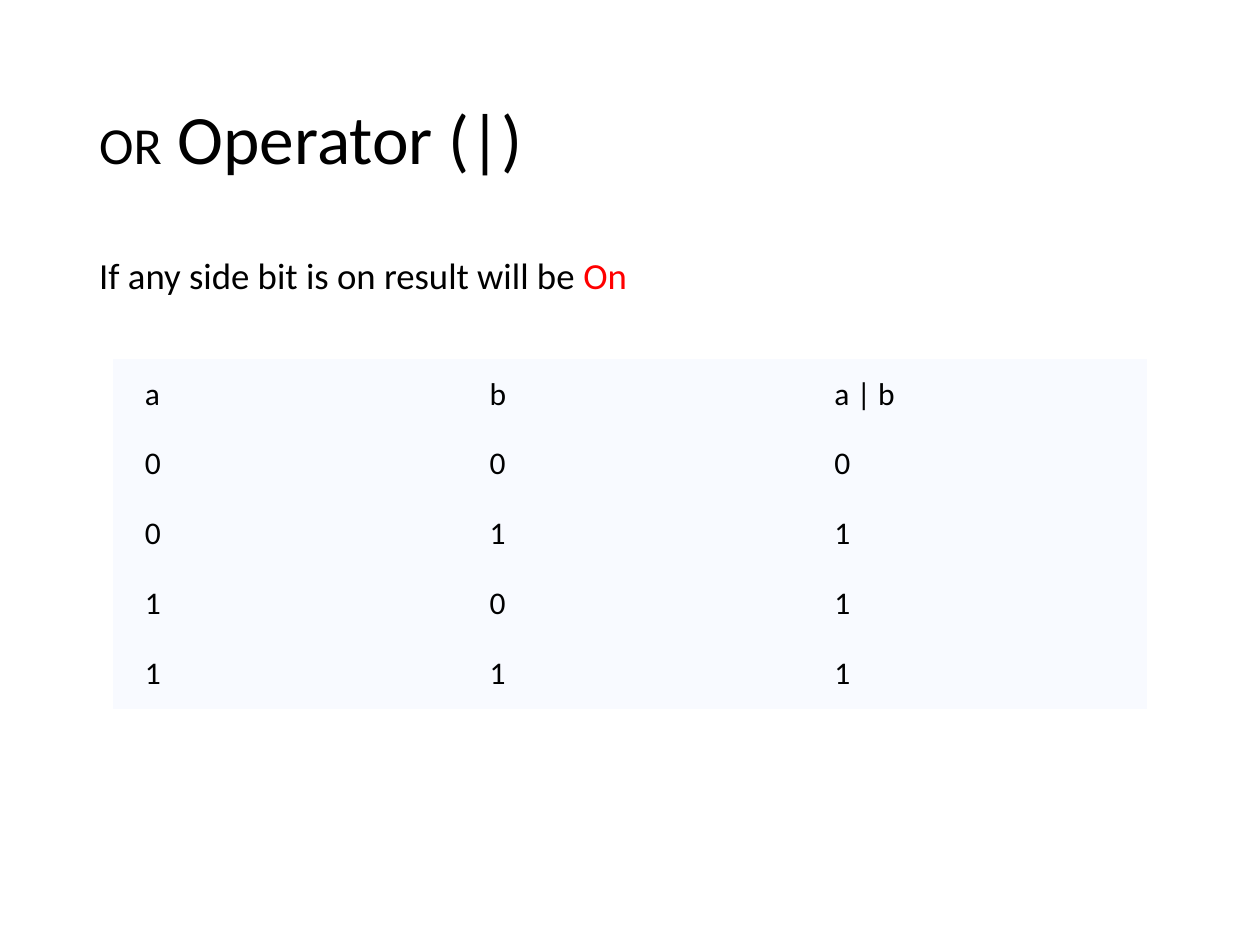
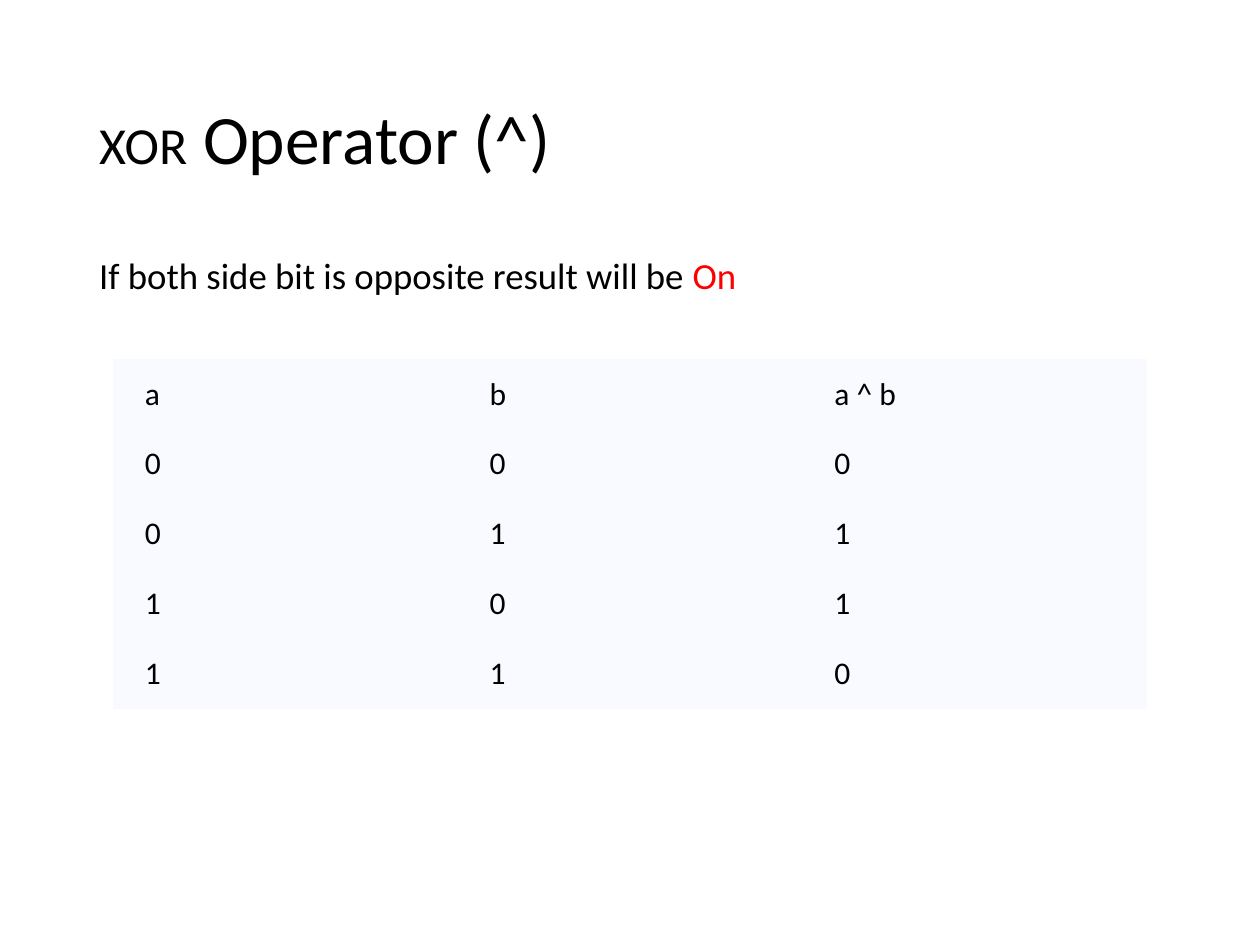
from itertools import product

from pptx import Presentation
from pptx.dml.color import RGBColor
from pptx.enum.text import MSO_ANCHOR
from pptx.util import Cm, Pt

MIDDLE, TOP = MSO_ANCHOR.MIDDLE, MSO_ANCHOR.TOP
COLORS = {"page": "FFFFFF", "ink": "000000", "accent": "FF0000", "cell": "F8FAFF"}
FONT = "Calibri"
PLAIN_GRID = "{2D5ABB26-0587-4C30-8999-92F81FD0307C}"
CELL = {
    "margin_left": Cm(0.64), "margin_right": Cm(0.64),
    "margin_top": Cm(0.32), "margin_bottom": Cm(0.32),
    "vertical_anchor": MIDDLE,
}
LEFT, WIDTH = 1.75, 21.9
GRID_LEFT, GRID_TOP, COL, ROW = 2.28, 7.24, 6.95, 1.41


def apply(target, values):
    for name, value in values.items():
        setattr(target, name, value)


def rgb(name):
    return RGBColor.from_string(COLORS[name])


class Deck:
    def __init__(self):
        self.prs = Presentation()
        apply(self.prs, {"slide_width": Cm(25.4), "slide_height": Cm(19.05)})
        self.slide = None

    def page(self):
        self.slide = self.prs.slides.add_slide(self.prs.slide_layouts[6])
        fill = self.slide.background.fill
        fill.solid()
        fill.fore_color.rgb = rgb("page")

    def add_run(self, para, text, size, color="ink"):
        run = para.add_run()
        run.text = text
        apply(run.font, {"name": FONT, "size": Pt(size)})
        run.font.color.rgb = rgb(color)

    def text(self, top, height, anchor, runs):
        """Add one line made of (text, size, color) runs."""
        box = self.slide.shapes.add_textbox(Cm(LEFT), Cm(top), Cm(WIDTH), Cm(height))
        apply(box.text_frame, {"word_wrap": True, "vertical_anchor": anchor})
        para = box.text_frame.paragraphs[0]
        para.line_spacing = 0.9
        for run in runs:
            self.add_run(para, *run)

    def title(self, name, sign):
        self.text(1.02, 3.68, MIDDLE,
                  [(name, 29.7, "ink"), (f" Operator ({sign})", 39.6, "ink")])

    def rule(self, text):
        self.text(5.08, 12.09, TOP,
                  [(f"{text} result will be ", 21, "ink"), ("On", 21, "accent")])

    def table(self, rows):
        count, wide = len(rows), len(rows[0])
        frame = self.slide.shapes.add_table(
            count, wide, Cm(GRID_LEFT), Cm(GRID_TOP), Cm(COL * wide), Cm(ROW * count))
        grid = frame.table
        apply(grid, {"first_row": False, "horz_banding": False})
        frame.element.xpath(".//a:tableStyleId")[0].text = PLAIN_GRID
        for y, row in enumerate(rows):
            for x, value in enumerate(row):
                cell = grid.cell(y, x)
                apply(cell, CELL)
                cell.fill.solid()
                cell.fill.fore_color.rgb = rgb("cell")
                self.add_run(cell.text_frame.paragraphs[0], str(value), 18)


def main():
    deck = Deck()
    for name, sign, rule, solve in (
        ("OR", "|", "If any side bit is on", lambda a, b: a | b),
        ("XOR", "^", "If both side bit is opposite", lambda a, b: a ^ b),
    ):
        deck.page()
        deck.title(name, sign)
        deck.rule(rule)
        bits = [(a, b, solve(a, b)) for a, b in product((0, 1), repeat=2)]
        deck.table([("a", "b", f"a {sign} b"), *bits])
    deck.prs.save("out.pptx")


if __name__ == "__main__":
    main()
